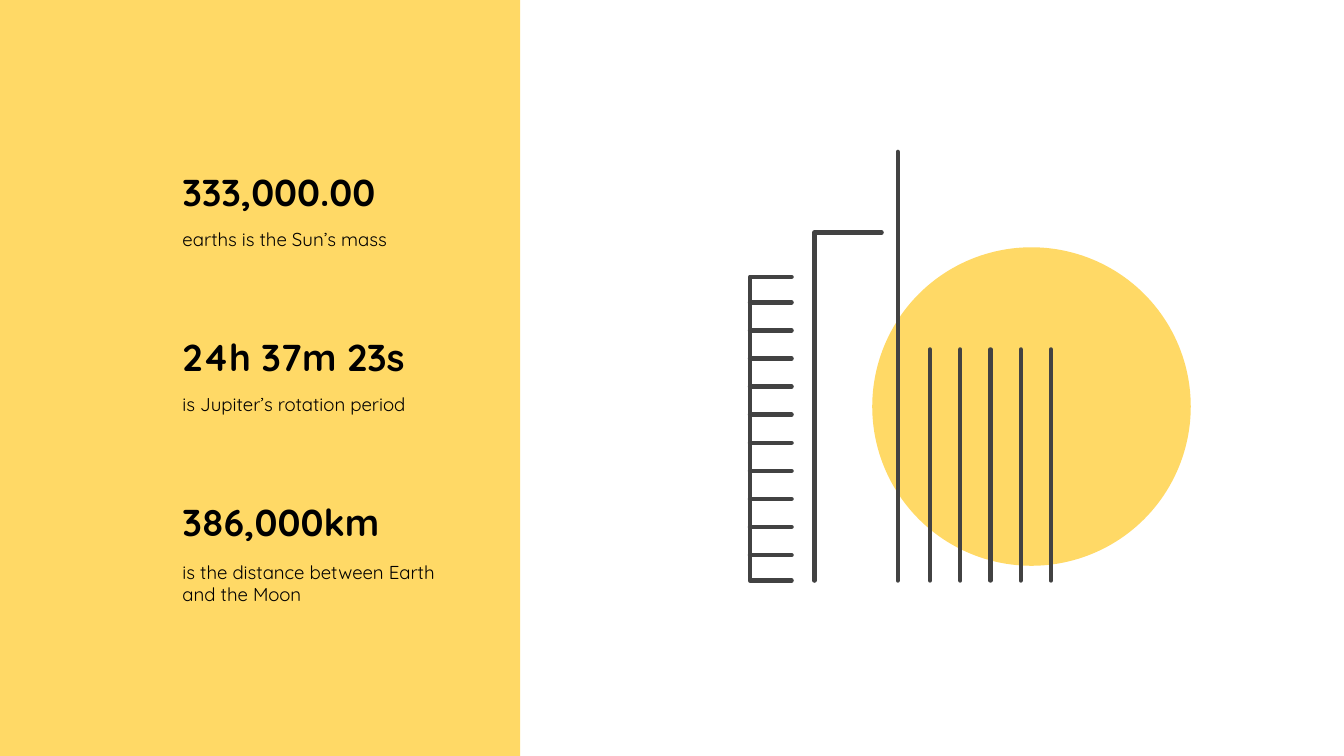
from lxml import etree
from pptx import Presentation, util as u
from pptx.dml.color import RGBColor
from pptx.enum import shapes as s, text as t
from pptx.oxml.ns import qn

FACTS = [
    ("333,000.00", "earths is the Sun’s mass"),
    ("24h 37m 23s", "is Jupiter’s rotation period"),
    ("386,000km", "is the distance between Earth and the Moon"),
]
WIDE = 10
HIGH = WIDE * 9 / 16
SUN, INK, TEXT, FONT = "FFD966", "424242", "000000", "Quicksand"
LEFT, TOP, STEP, COL = 1.26, 1.3, 1.23, 2.14
BASE = 4.32
RUNG = dict(left=5.58, right=5.89, first=2.25, last=4.13, count=10)
POST = dict(top=2.6, first=6.92, last=7.82, count=5)
FRAME = [(5.89, BASE), (5.58, BASE), (5.58, 2.06), (5.89, 2.06)]
TOWER = [(6.06, BASE), (6.06, 1.73), (6.56, 1.73)]
MAST = [(6.68, 1.13), (6.68, BASE)]

deck = Presentation()
deck.slide_width, deck.slide_height = u.Inches(WIDE), u.Inches(HIGH)
slide = deck.slides.add_slide(deck.slide_layouts[6])


def tint(code):
    return RGBColor.from_string(code)


def spread(first, last, count, **rest):
    return [first + i * (last - first) / (count - 1) for i in range(count)]


def block(kind, *box):
    shape = slide.shapes.add_shape(kind, *map(u.Inches, box))
    shape.shadow.inherit = False
    shape.fill.solid()
    shape.fill.fore_color.rgb = tint(SUN)
    shape.line.fill.background()


def write(words, box, size=10, bold=False, anchor=t.MSO_ANCHOR.TOP):
    frame = slide.shapes.add_textbox(*map(u.Inches, box)).text_frame
    frame.word_wrap = True
    frame.vertical_anchor = anchor
    frame.margin_left = frame.margin_right = u.Inches(0.1)
    frame.margin_top = frame.margin_bottom = u.Inches(0.1)
    run = frame.paragraphs[0].add_run()
    run.text = words
    font = run.font
    font.name, font.size, font.bold = FONT, u.Pt(size), bold
    font.color.rgb = tint(TEXT)


def stroke(points):
    spots = [(u.Inches(x), u.Inches(y)) for x, y in points]
    if len(spots) == 2:
        shape = slide.shapes.add_connector(s.MSO_CONNECTOR.STRAIGHT, *spots[0], *spots[1])
        etree.SubElement(shape.element.spPr, qn("a:effectLst"))
    else:
        pen = slide.shapes.build_freeform(*spots[0])
        pen.add_line_segments(spots[1:], close=False)
        shape = pen.convert_to_shape()
        shape.shadow.inherit = False
        shape.fill.background()
    shape.line.color.rgb = tint(INK)
    shape.line.width = u.Pt(2.33)
    line = shape.element.spPr.find(qn("a:ln"))
    line.set("cap", "rnd")
    etree.SubElement(line, qn("a:round"))


block(s.MSO_SHAPE.OVAL, 6.49, 1.84, 2.37, 2.37)
block(s.MSO_SHAPE.RECTANGLE, -0.06, 0, 3.93, HIGH)

for row, (head, note) in enumerate(FACTS):
    top = TOP + row * STEP
    write(head, (LEFT, top, COL, 0.39), size=20, bold=True, anchor=t.MSO_ANCHOR.BOTTOM)
    write(note, (LEFT, top + 0.31, COL, 0.59))

stroke(FRAME)
for y in spread(**RUNG):
    stroke([(RUNG["left"], y), (RUNG["right"], y)])
stroke(TOWER)
stroke(MAST)
for x in spread(**POST):
    stroke([(x, POST["top"]), (x, BASE)])

deck.save("out.pptx")
